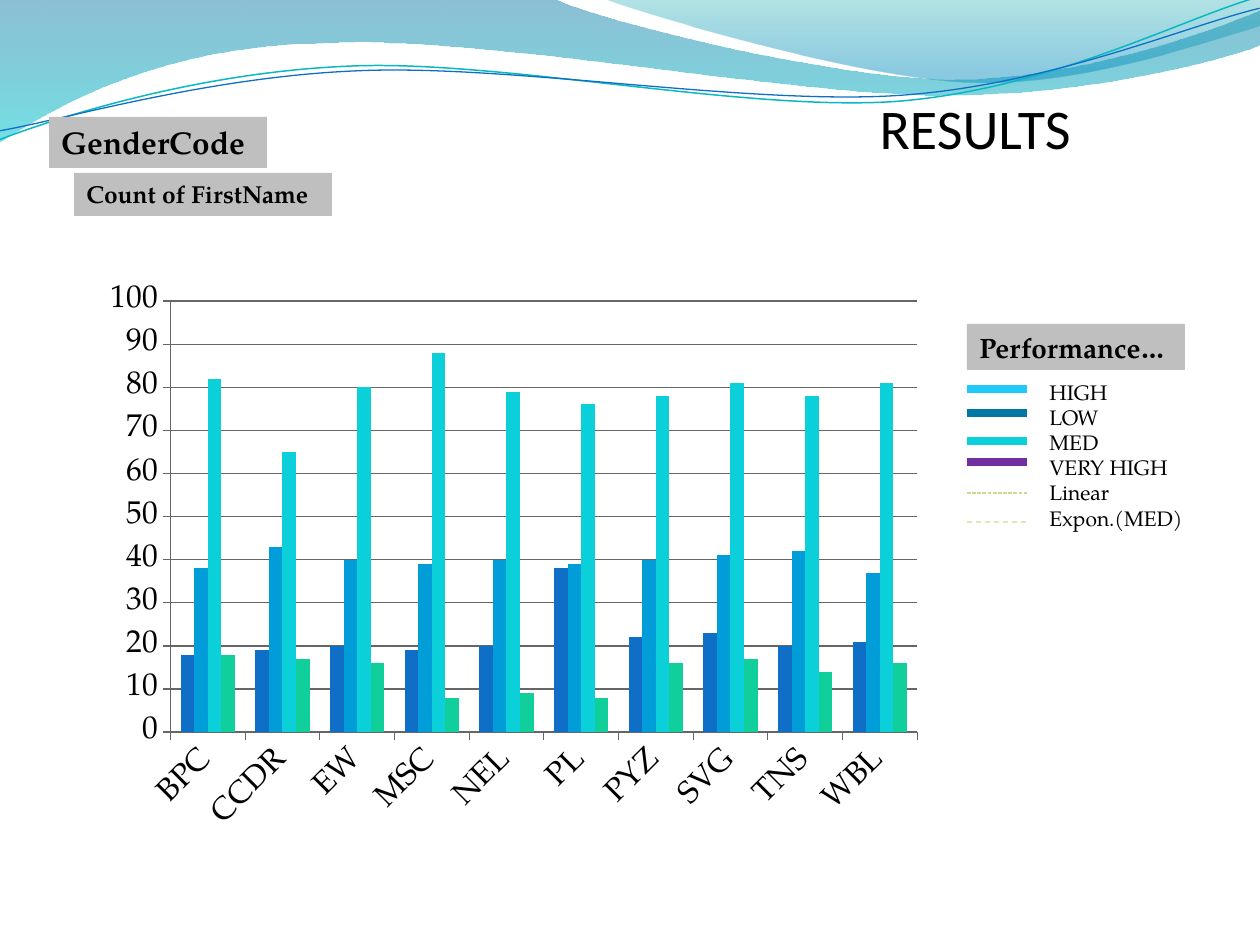
"""Build the RESULTS slide: wave header, performance chart and hand-made legend."""
from lxml.etree import SubElement
from pptx import Presentation
from pptx.chart.data import CategoryChartData
from pptx.dml.color import RGBColor
from pptx.enum.chart import XL_CHART_TYPE, XL_TICK_MARK
from pptx.enum.dml import MSO_LINE
from pptx.enum.shapes import MSO_CONNECTOR, MSO_SHAPE
from pptx.enum.text import MSO_ANCHOR, PP_ALIGN
from pptx.oxml.ns import qn
from pptx.util import Emu, Pt

FONT = "TeX Gyre Pagella"
TILT = 357.3
WAVES = [
    ([(-1, -1), (554, -1), (600, 21, 837, 79, 955, 79), (1075, 79, 1207, 33, 1260, 11),
      (1261, 45), (1239, 55, 1096, 96, 940, 95), (784, 95, 481, 35, 324, 43),
      (163, 45, 58, 105, -1, 142)],
     [(0, "0074A1", 45), (1, "00C6CF", 55)]),
    ([(604, -1), (641, 14, 859, 78, 969, 82), (1079, 87, 1211, 40, 1260, 26), (1260, 0)],
     [(0, "00A1A9", 30), (0.8, "008BBF", 45)]),
]
CURVES = [
    ([(-3, 110), (58, 90, 199, 52, 350, 53), (499, 53, 745, 118, 896, 114),
      (1049, 109, 1184, 45, 1260, 27)], "0AB8BF", 0.85),
    ([(-2, 101), (57, 94, 207, 57, 357, 58), (509, 58, 750, 112, 902, 108),
      (1052, 104, 1188, 52, 1262, 38)], "0F6FC6", 0.75),
]
TAGS = [
    ("GenderCode", 18, (49, 117, 218, 51)),
    ("Count of FirstName", 14, (74, 173, 258, 43)),
    ("Performance…", 16, (967, 324, 218, 46)),
]
KEYS = [
    ("HIGH", 389, "20C9F8", 4.5, None),
    ("LOW", 413, "0076A3", 4.5, None),
    ("MED", 441, "0BD0D9", 4.5, None),
    ("VERY HIGH", 462, "7030A0", 4.5, None),
    ("Linear", 493, "C9DA92", 0.75, MSO_LINE.SQUARE_DOT),
    ("Expon.(MED)", 522, "DBE7B6", 0.75, MSO_LINE.DASH),
]
UNITS = ["BPC", "CCDR", "EW", "MSC", "NEL", "PL", "PYZ", "SVG", "TNS", "WBL"]
SERIES = [
    ("Series 1", "0F6FC6", [18, 19, 20, 19, 20, 38, 22, 23, 20, 21]),
    ("Series 2", "009DD9", [38, 43, 40, 39, 40, 39, 40, 41, 42, 37]),
    ("Series 3", "0BD0D9", [82, 65, 80, 88, 79, 76, 78, 81, 78, 81]),
    ("Series 4", "10CF9B", [18, 17, 16, 8, 9, 8, 16, 17, 14, 16]),
]


def px(n):
    return Emu(round(n * 914400 / 126))


def rgb(code):
    return RGBColor.from_string(code)


def stroke(line, color, width, dash=None):
    line.color.rgb = rgb(color)
    line.width = Pt(width)
    if dash:
        line.dash_style = dash


def write(shape, lines, size, font=FONT, bold=False, anchor=MSO_ANCHOR.TOP):
    frame = shape.text_frame
    frame.word_wrap = True
    frame.vertical_anchor = anchor
    frame.text = "\n".join(lines)
    for para in frame.paragraphs:
        para.alignment = PP_ALIGN.LEFT
        para.font.name, para.font.size, para.font.bold = font, Pt(size), bold
        para.font.color.rgb = rgb("000000")


def pairs(leg):
    return [(px(x), px(y)) for x, y in zip(leg[::2], leg[1::2])]


def draw(shapes, route, close):
    dots = [dot for leg in route for dot in pairs(leg)]
    pen = shapes.build_freeform(*dots[0], scale=1.0)
    pen.add_line_segments(dots[1:], close=close)
    shape = pen.convert_to_shape()
    shape.shadow.inherit = False
    track = next(shape._element.iter(qn("a:path")))
    for node in list(track):
        track.remove(node)
    for i, leg in enumerate(route):
        kind = "a:cubicBezTo" if len(leg) == 6 else "a:lnTo" if i else "a:moveTo"
        node = SubElement(track, qn(kind))
        for x, y in pairs(leg):
            SubElement(node, qn("a:pt"), x=str(x - shape.left), y=str(y - shape.top))
    if close:
        SubElement(track, qn("a:close"))
    return shape


def add_waves(shapes):
    for route, stops in WAVES:
        wave = draw(shapes, route, True)
        wave.line.fill.background()
        wave.fill.gradient()
        wave.fill.gradient_angle = 270
        for stop, (pos, color, alpha) in zip(wave.fill.gradient_stops, stops):
            stop.position = pos
            stop.color.rgb = rgb(color)
        tones = wave._element.spPr.iter(qn("a:srgbClr"))
        for tone, (pos, color, alpha) in zip(tones, stops):
            SubElement(tone, qn("a:alpha"), val=str(alpha * 1000))
    for route, color, width in CURVES:
        curve = draw(shapes, route, False)
        curve.rotation = TILT
        curve.fill.background()
        stroke(curve.line, color, width)


def add_title(shapes):
    title = shapes.title
    title.left, title.top, title.width, title.height = map(px, (867, 87, 318, 81))
    write(title, ["RESULTS"], 32, font="Calibri", anchor=MSO_ANCHOR.MIDDLE)
    shapes._spTree.append(title._element)


def add_bars(shapes):
    data = CategoryChartData()
    data.categories = UNITS
    for name, color, vals in SERIES:
        data.add_series(name, vals)
    box = map(px, (94, 274, 840, 568))
    chart = shapes.add_chart(XL_CHART_TYPE.COLUMN_CLUSTERED, *box, data).chart
    chart.has_legend = chart.has_title = False
    chart.font.name, chart.font.size = FONT, Pt(18)
    chart.font.color.rgb = rgb("000000")
    plot = chart.plots[0]
    plot.gap_width, plot.overlap, plot.vary_by_categories = 150, 0, False
    for bars, (name, color, vals) in zip(plot.series, SERIES):
        bars.format.fill.solid()
        bars.format.fill.fore_color.rgb = rgb(color)
    cats, vals = chart.category_axis, chart.value_axis
    vals.minimum_scale, vals.maximum_scale, vals.major_unit = 0, 100, 10
    vals.has_major_gridlines = True
    for axis in (cats, vals):
        axis.major_tick_mark = XL_TICK_MARK.OUTSIDE
        axis.tick_labels.font.size = Pt(18)
    for part in (cats, vals, vals.major_gridlines):
        stroke(part.format.line, "666666", 0.75)
    cats._element.find(qn("c:txPr")).find(qn("a:bodyPr")).set("rot", "-2700000")


def add_legend(shapes):
    box = shapes.add_textbox(*map(px, (1037, 344, 189, 195)))
    write(box, [key[0] for key in KEYS], 12)
    box.text_frame.margin_top = px(35)
    for label, y, color, width, dash in KEYS:
        key = shapes.add_connector(MSO_CONNECTOR.STRAIGHT, *map(px, (967, y, 1027, y)))
        stroke(key.line, color, width, dash)
        SubElement(key._element.spPr, qn("a:effectLst"))


def add_tags(shapes):
    for label, size, box in TAGS:
        tag = shapes.add_shape(MSO_SHAPE.RECTANGLE, *map(px, box))
        tag.shadow.inherit = False
        tag.fill.solid()
        tag.fill.fore_color.rgb = rgb("BFBFBF")
        tag.line.fill.background()
        write(tag, [label], size, bold=True)


def main():
    deck = Presentation()
    deck.slide_width, deck.slide_height = px(1260), px(945)
    slide = deck.slides.add_slide(deck.slide_layouts[5])
    for step in (add_waves, add_title, add_bars, add_legend, add_tags):
        step(slide.shapes)
    deck.save("out.pptx")


if __name__ == "__main__":
    main()
